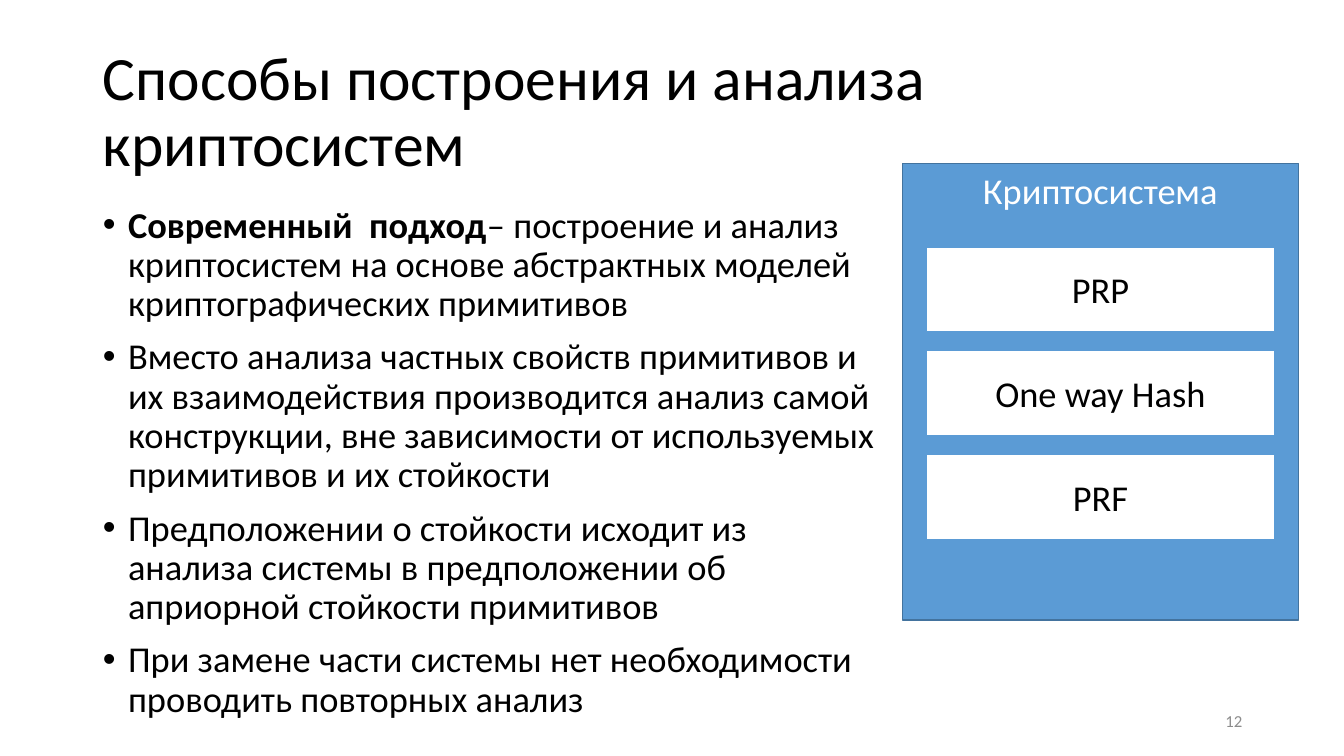
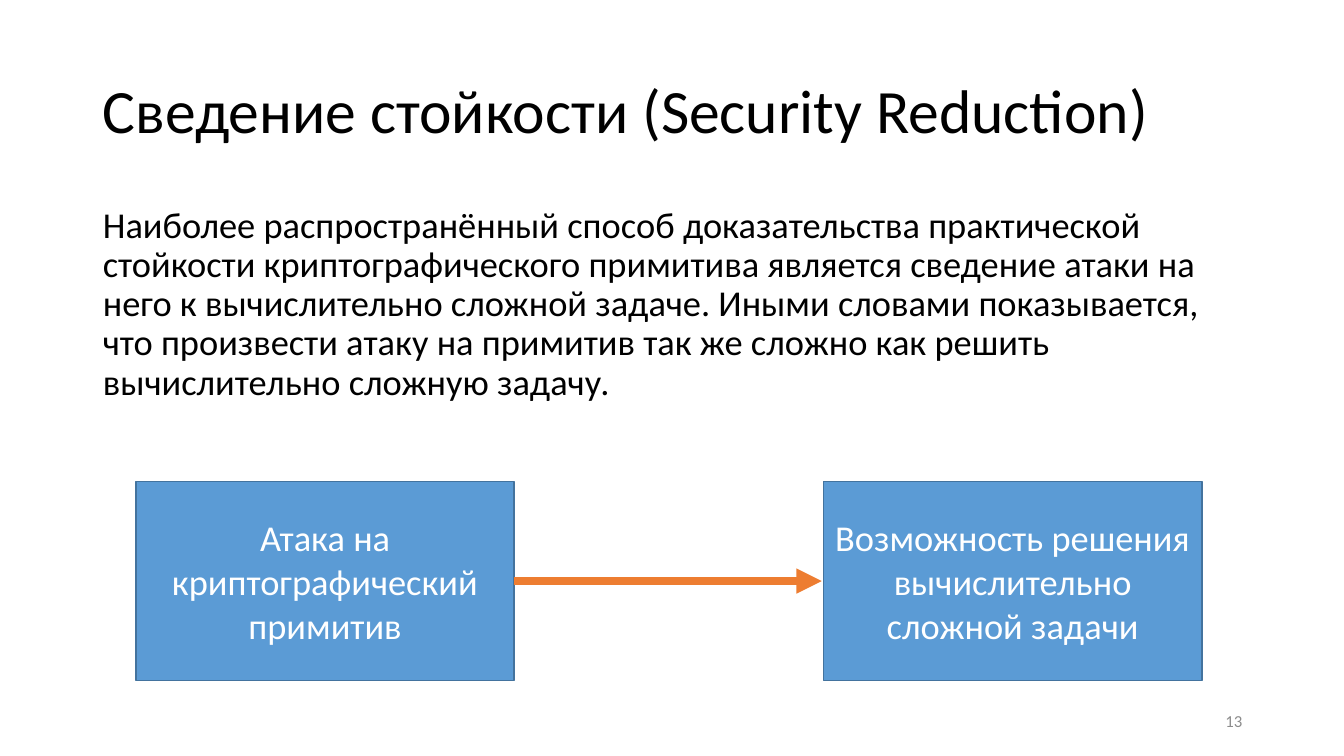
from dataclasses import dataclass

import lxml.etree
import pptx
import pptx.dml.color
import pptx.enum.shapes
import pptx.enum.text
import pptx.oxml.ns
import pptx.util

Inches = pptx.util.Inches
Pt = pptx.util.Pt
ALIGN = pptx.enum.text.PP_ALIGN
ANCHOR = pptx.enum.text.MSO_ANCHOR
qn = pptx.oxml.ns.qn

COLORS = {
    "text": "000000",
    "white": "FFFFFF",
    "number": "8C8C8C",
    "blue": "5B9BD5",
    "edge": "43739E",
    "arrow": "ED7D31",
}
FONT = "Calibri"
LEFT, WIDTH = 0.92, 11.5
TITLE_FORMAT = {"alignment": ALIGN.LEFT, "line_spacing": 0.9}
BODY_FORMAT = {**TITLE_FORMAT, "space_before": Pt(10), "space_after": Pt(0)}


@dataclass
class Run:
    text: str
    bold: bool = False


@dataclass
class Box:
    text: str
    left: float
    top: float
    width: float
    height: float
    fill: str = "blue"
    line: str = "edge"
    color: str = "white"
    anchor: ANCHOR = ANCHOR.MIDDLE


def rgb(name: str) -> pptx.dml.color.RGBColor:
    return pptx.dml.color.RGBColor.from_string(COLORS[name])


def apply(target, values: dict) -> None:
    for key, value in values.items():
        setattr(target, key, value)


def place(sp, left: float, top: float, width: float, height: float) -> None:
    values = {"left": left, "top": top, "width": width, "height": height}
    apply(sp, {key: Inches(value) for key, value in values.items()})


def write(p, runs: list[Run], size: float, color: str, values: dict) -> None:
    apply(p, values)
    for run in runs:
        r = p.add_run()
        r.text = run.text
        apply(r.font, {"name": FONT, "size": Pt(size), "bold": run.bold})
        r.font.color.rgb = rgb(color)


def set_frame(tf, anchor: ANCHOR) -> None:
    apply(tf, {
        "word_wrap": True,
        "auto_size": pptx.enum.text.MSO_AUTO_SIZE.NONE,
        "vertical_anchor": anchor,
    })


def set_bullet(p, bulleted: bool) -> None:
    pPr = p._p.get_or_add_pPr()
    indent = Inches(0.25) if bulleted else 0
    pPr.set("marL", str(indent))
    pPr.set("indent", str(-indent))
    if bulleted:
        lxml.etree.SubElement(pPr, qn("a:buFont")).set("typeface", "Arial")
        lxml.etree.SubElement(pPr, qn("a:buChar")).set("char", "•")
    else:
        lxml.etree.SubElement(pPr, qn("a:buNone"))


def add_slide(prs, title: str, paragraphs: list[list[Run]], number: int,
              body_width: float = WIDTH, bulleted: bool = False):
    s = prs.slides.add_slide(prs.slide_layouts[1])
    sp = s.shapes.title
    place(sp, LEFT, 0.4, WIDTH, 1.45)
    set_frame(sp.text_frame, ANCHOR.MIDDLE)
    write(sp.text_frame.paragraphs[0], [Run(title)], 44, "text", TITLE_FORMAT)

    sp = s.placeholders[1]
    place(sp, LEFT, 2, body_width, 4.76)
    tf = sp.text_frame
    set_frame(tf, ANCHOR.TOP)
    for i, runs in enumerate(paragraphs):
        p = tf.add_paragraph() if i else tf.paragraphs[0]
        write(p, runs, 26, "text", BODY_FORMAT)
        set_bullet(p, bulleted)

    sp = s.shapes.add_textbox(0, 0, 0, 0)
    place(sp, 9.42, 6.95, 3, 0.4)
    set_frame(sp.text_frame, ANCHOR.MIDDLE)
    write(sp.text_frame.paragraphs[0], [Run(str(number))], 12, "number",
          {"alignment": ALIGN.RIGHT})
    return s


def add_box(s, box: Box) -> None:
    sp = s.shapes.add_shape(pptx.enum.shapes.MSO_SHAPE.RECTANGLE, 0, 0, 0, 0)
    place(sp, box.left, box.top, box.width, box.height)
    sp.shadow.inherit = False
    sp.fill.solid()
    sp.fill.fore_color.rgb = rgb(box.fill)
    sp.line.color.rgb = rgb(box.line)
    sp.line.width = Pt(1)
    set_frame(sp.text_frame, box.anchor)
    write(sp.text_frame.paragraphs[0], [Run(box.text)], 26, box.color,
          {"alignment": ALIGN.CENTER})


def add_arrow(s, start: float, end: float, y: float) -> None:
    line = s.shapes.add_connector(
        pptx.enum.shapes.MSO_CONNECTOR.STRAIGHT,
        Inches(start), Inches(y), Inches(end), Inches(y))
    line.line.color.rgb = rgb("arrow")
    line.line.width = Pt(6)
    spPr = line._element.spPr
    lxml.etree.SubElement(spPr.find(qn("a:ln")), qn("a:tailEnd")).set("type", "triangle")
    lxml.etree.SubElement(spPr, qn("a:effectLst"))


def build_approach(prs) -> None:
    s = add_slide(prs, "Способы построения и анализа криптосистем", [
        [Run("Современный  подход", True),
         Run("– построение и анализ криптосистем на основе абстрактных моделей "
             "криптографических примитивов")],
        [Run("Вместо анализа частных свойств примитивов и их взаимодействия "
             "производится анализ самой конструкции, вне зависимости от "
             "используемых примитивов и их стойкости")],
        [Run("Предположении о стойкости исходит из анализа системы в "
             "предположении об априорной стойкости примитивов")],
        [Run("При замене части системы нет необходимости проводить повторных "
             "анализ")],
    ], 12, body_width=7.92, bulleted=True)
    add_box(s, Box("Криптосистема", 8.95, 1.62, 3.93, 4.53, anchor=ANCHOR.TOP))
    for i, name in enumerate(["PRP", "One way Hash", "PRF"]):
        add_box(s, Box(name, 9.19, 2.45 + 1.03 * i, 3.45, 0.84,
                       fill="white", line="blue", color="text"))


def build_reduction(prs) -> None:
    s = add_slide(prs, "Сведение стойкости (Security Reduction)", [
        [Run("Наиболее распространённый способ доказательства практической "
             "стойкости криптографического примитива является сведение атаки "
             "на него к вычислительно сложной задаче. Иными словами "
             "показывается, что произвести атаку на примитив так же сложно "
             "как решить вычислительно сложную задачу.")],
    ], 13)
    top, width, height = 4.78, 3.75, 1.97
    attack, problem = 1.35, 8.17
    add_box(s, Box("Атака на криптографический примитив",
                   attack, top, width, height))
    add_box(s, Box("Возможность решения вычислительно сложной задачи",
                   problem, top, width, height))
    add_arrow(s, attack + width, problem - 0.02, top + height / 2)


def main() -> None:
    prs = pptx.Presentation()
    prs.slide_width = Inches(13.33)
    prs.slide_height = Inches(7.5)
    build_approach(prs)
    build_reduction(prs)
    prs.save("out.pptx")


if __name__ == "__main__":
    main()
